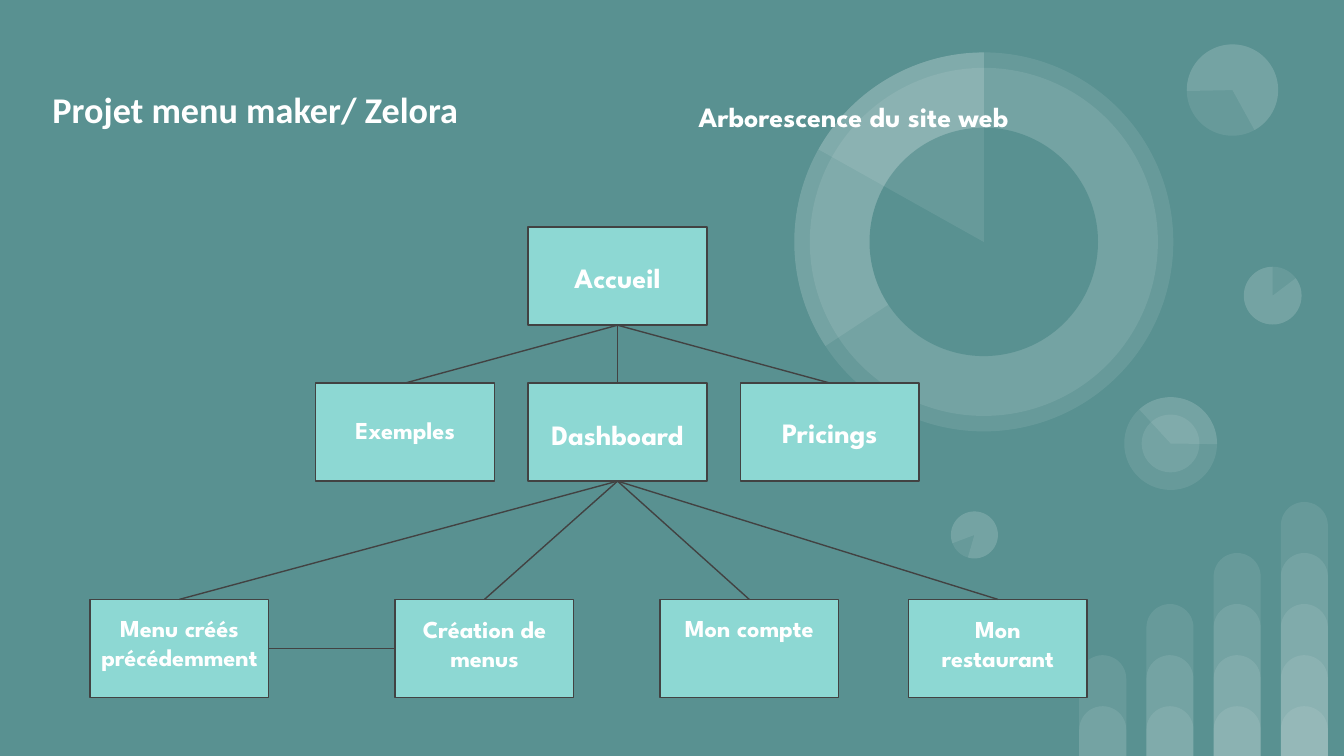
"""Build the site-map slide of a menu maker project."""

from lxml.etree import SubElement
from pptx import Presentation
from pptx.dml.color import RGBColor
from pptx.enum.shapes import MSO_CONNECTOR, MSO_SHAPE
from pptx.enum.text import MSO_ANCHOR, MSO_AUTO_SIZE, PP_ALIGN
from pptx.oxml.ns import qn
from pptx.util import Inches, Pt

TITLE = "Projet menu maker/ Zelora"
SUBTITLE = "Arborescence du site web"

# name: (text, left, row, top inset, type size, parent)
NODES = {
    "home": ("Accueil", 3.93, 0, 0.25, "large", None),
    "examples": ("Exemples", 2.35, 1, 0.24, "small", "home"),
    "dashboard": ("Dashboard", 3.93, 1, 0.26, "large", "home"),
    "pricing": ("Pricings", 5.51, 1, 0.24, "large", "home"),
    "created": ("Menu créés précédemment", 0.67, 2, 0.1, "small", "dashboard"),
    "creation": ("Création de menus", 2.94, 2, 0.11, "small", "dashboard"),
    "account": ("Mon compte", 4.91, 2, 0.1, "small", "dashboard"),
    "restaurant": ("Mon restaurant", 6.76, 2, 0.11, "small", "dashboard"),
}
SIDE_LINK = ("created", "creation")

DISCS = [
    {"centre": (9.47, 2.2), "sizes": [0.43], "slices": [(322.95, 270)], "turn": 0},
    {"centre": (7.25, 3.98), "sizes": [0.35], "slices": [(322.95, 270)], "turn": 196.2},
    {"centre": (8.71, 3.3), "sizes": [0.69, 0.43], "slices": [(137.41, 270.77)], "turn": 90},
    {"centre": (9.17, 0.67), "sizes": [0.68], "slices": [(322.95, 205.23)], "turn": 215.9},
    {"centre": (7.32, 1.8), "sizes": [2.82, 2.59], "slices": [(146.69, 270)], "turn": 0},
    {"centre": (7.32, 1.8), "sizes": [1.7], "slices": [], "turn": 0, "hole": True},
    {"centre": (7.32, 1.8), "sizes": [2.82], "slices": [(209.24, 270)], "turn": 0, "slice_only": True},
]

THEME = {
    "background": RGBColor.from_string("599191"),
    "box": RGBColor.from_string("8DD8D3"),
    "line": RGBColor.from_string("424242"),
    "white": RGBColor.from_string("FFFFFF"),
    "veil": 9000,
    "title": Pt(19.4),
    "large": Pt(15),
    "small": Pt(13),
    "title_font": "Calibri",
    "font": "League Spartan",
    "stroke": Pt(0.75),
}
WIDTH = 10
HEIGHT = WIDTH * 9 / 16
BOX_WIDTH, BOX_HEIGHT = 1.33, 0.73
ROW_TOPS = (1.69, 2.85, 4.46)
BAR_LEFT, BAR_PITCH, BAR_WIDTH = 8.03, 0.5, 0.35
BAR_BASE, BAR_STEP, BAR_COLUMNS = 0.37, 0.38, 4


def inches(*lengths):
    return [Inches(length) for length in lengths]


def set_values(target, values):
    for name, value in values.items():
        setattr(target, name, value)


def write(shape, text, size, font=THEME["font"], align=PP_ALIGN.LEFT,
          anchor=MSO_ANCHOR.TOP, side=0.1, top=0.1):
    frame = shape.text_frame
    set_values(frame, {
        "text": text, "word_wrap": True, "auto_size": MSO_AUTO_SIZE.NONE,
        "vertical_anchor": anchor,
        "margin_left": Inches(side), "margin_right": Inches(side),
        "margin_top": Inches(top), "margin_bottom": Inches(0.1),
    })
    paragraph = frame.paragraphs[0]
    paragraph.alignment = align
    run_font = paragraph.runs[0].font
    set_values(run_font, {"name": font, "size": THEME[size], "bold": True})
    run_font.color.rgb = THEME["white"]


def add_filled(slide, kind, box, color, veiled=False):
    shape = slide.shapes.add_shape(kind, *inches(*box))
    shape.shadow.inherit = False
    shape.fill.solid()
    shape.fill.fore_color.rgb = color
    shape.line.fill.background()
    if veiled:
        color_element = shape._element.spPr.find(".//" + qn("a:srgbClr"))
        SubElement(color_element, qn("a:alpha")).set("val", str(THEME["veil"]))
    return shape


def add_bars(slide):
    for column in range(BAR_COLUMNS):
        for level in range(column + 2):
            height = BAR_BASE + BAR_STEP * level
            box = (BAR_LEFT + BAR_PITCH * column, HEIGHT - height, BAR_WIDTH, height)
            bar = add_filled(slide, MSO_SHAPE.ROUND_2_SAME_RECTANGLE, box, THEME["white"], True)
            bar.adjustments[0] = 0.5


def add_disc(slide, disc):
    x, y = disc["centre"]
    boxes = [(x - size / 2, y - size / 2, size, size) for size in disc["sizes"]]
    hole = disc.get("hole", False)
    color = THEME["background" if hole else "white"]
    if not disc.get("slice_only"):
        for box in boxes:
            add_filled(slide, MSO_SHAPE.OVAL, box, color, not hole)
    for angles in disc["slices"]:
        pie = add_filled(slide, MSO_SHAPE.PIE, boxes[0], color, True)
        pie.rotation = disc["turn"]
        for index, angle in enumerate(angles):
            pie.adjustments[index] = angle * 0.6


def add_node(slide, text, left, row, top_inset, size):
    box = (left, ROW_TOPS[row], BOX_WIDTH, BOX_HEIGHT)
    node = add_filled(slide, MSO_SHAPE.RECTANGLE, box, THEME["box"])
    node.line.color.rgb = THEME["line"]
    node.line.width = THEME["stroke"]
    write(node, text, size, align=PP_ALIGN.CENTER, side=0.07, top=top_inset)
    return node


def join(slide, start, start_site, end, end_site):
    connector = slide.shapes.add_connector(MSO_CONNECTOR.STRAIGHT, 0, 0, 0, 0)
    connector.begin_connect(start, start_site)
    connector.end_connect(end, end_site)
    connector.line.color.rgb = THEME["line"]
    connector.line.width = THEME["stroke"]
    SubElement(connector._element.spPr, qn("a:effectLst"))


def main():
    presentation = Presentation()
    set_values(presentation, {"slide_width": Inches(WIDTH), "slide_height": Inches(HEIGHT)})
    slide = presentation.slides.add_slide(presentation.slide_layouts[5])
    slide.background.fill.solid()
    slide.background.fill.fore_color.rgb = THEME["background"]

    add_bars(slide)
    for disc in DISCS:
        add_disc(slide, disc)

    title = slide.shapes.title
    set_values(title, dict(zip(("left", "top", "width", "height"), inches(0.29, 0.51, 4.29, 0.61))))
    write(title, TITLE, "title", THEME["title_font"], anchor=MSO_ANCHOR.MIDDLE)
    subtitle = slide.shapes.add_textbox(*inches(5.1, 0.64, 2.95, 0.36))
    write(subtitle, SUBTITLE, "large")

    nodes = {name: add_node(slide, *values[:-1]) for name, values in NODES.items()}
    for name, values in NODES.items():
        if values[-1]:
            join(slide, nodes[values[-1]], 2, nodes[name], 0)
    first, second = SIDE_LINK
    join(slide, nodes[first], 3, nodes[second], 1)
    presentation.save("out.pptx")


if __name__ == "__main__":
    main()
